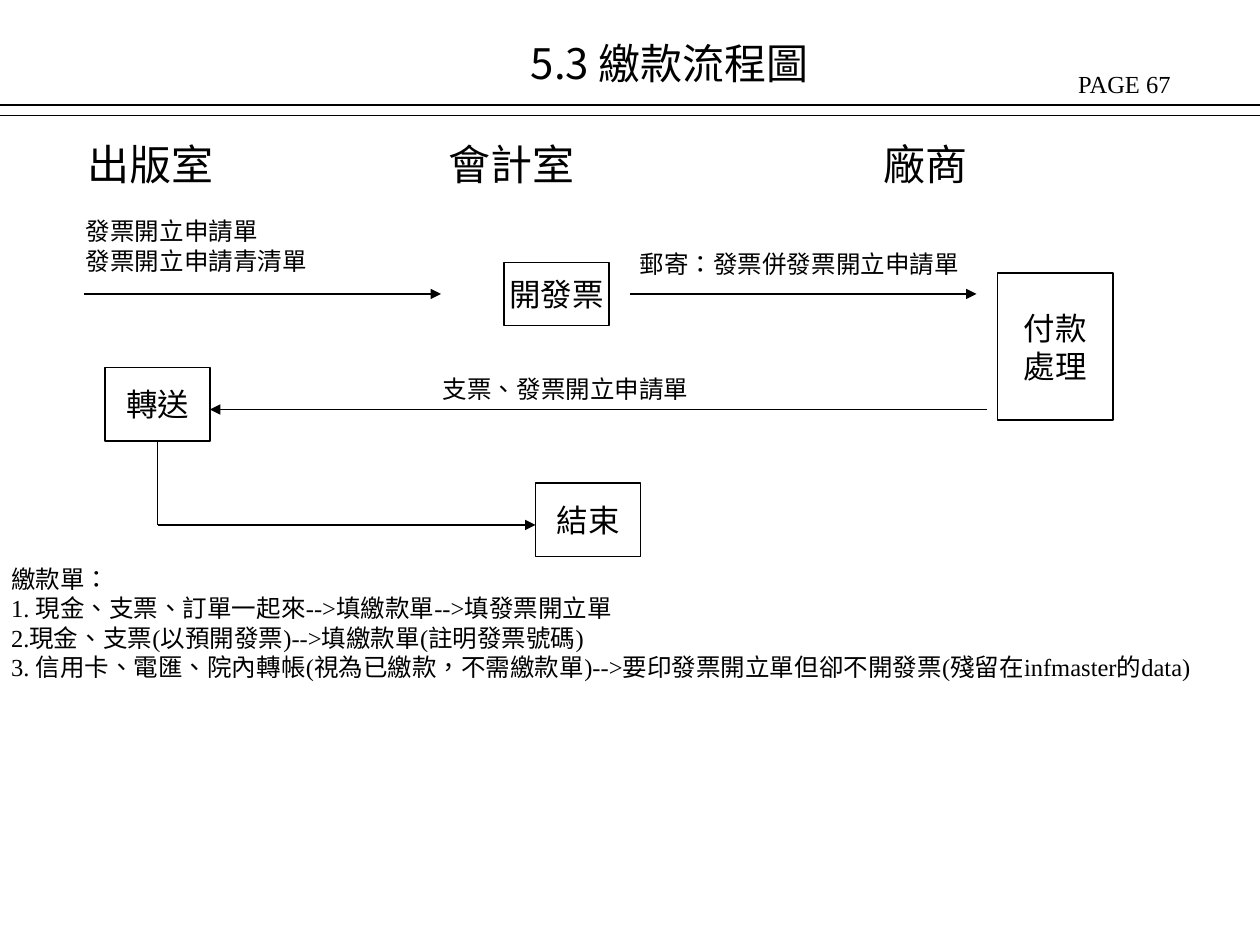
"""Build the payment process flowchart slide."""
from lxml.etree import SubElement
from pptx import Presentation
from pptx.dml.color import RGBColor
from pptx.enum.shapes import MSO_CONNECTOR as Connector, MSO_SHAPE as Shape
from pptx.enum.text import MSO_ANCHOR as Anchor, MSO_AUTO_SIZE as AutoSize, PP_ALIGN as Align
from pptx.oxml.ns import qn
from pptx.util import Pt

PX = 9525
BLACK, WHITE = "000000", "FFFFFF"
LATIN, CJK = "Times New Roman", "Noto Sans CJK TC"


def color(value):
    return RGBColor.from_string(value)


def write(shape, lines, size, align=Align.LEFT, font=LATIN):
    frame = shape.text_frame
    frame.word_wrap = False
    frame.text = "\n".join(lines)
    for paragraph in frame.paragraphs:
        paragraph.alignment = align
        for run in paragraph.runs:
            for name, value in {"size": Pt(size), "name": font}.items():
                setattr(run.font, name, value)
            run.font.color.rgb = color(BLACK)
            run.font._element.set("lang", "zh-TW")
            SubElement(run.font._element, qn("a:ea"), typeface=CJK)


presentation = Presentation()
presentation.slide_width, presentation.slide_height = 960 * PX, 720 * PX
slide = presentation.slides.add_slide(presentation.slide_layouts[6])

texts = {
    "page": (812, 48, 151, 33, 14, LATIN, ["PAGE 67"]),
    "title": (395, 24, 262, 48, 24, CJK, ["5.3 繳款流程圖"]),
    "departments": (57, 101, 750, 48, 24, LATIN, ["出版室\t會計室\t廠商"]),
    "request": (56, 160, 195, 55, 14, LATIN, ["發票開立申請單", "發票開立申請青清單"]),
    "mailing": (478, 185, 270, 33, 14, LATIN, ["郵寄：發票併發票開立申請單"]),
    "cheque": (328, 280, 214, 33, 14, LATIN, ["支票、發票開立申請單"]),
    "notes": (-1, 425, 972, 100, 14, LATIN, [
        "繳款單：",
        "1. 現金、支票、訂單一起來-->填繳款單-->填發票開立單",
        "2.現金、支票(以預開發票)-->填繳款單(註明發票號碼)",
        "3. 信用卡、電匯、院內轉帳(視為已繳款，不需繳款單)-->要印發票開立單但卻不開發票(殘留在infmaster的data)",
    ]),
}
boxes = {}
for name, (left, top, width, height, size, font, lines) in texts.items():
    boxes[name] = slide.shapes.add_textbox(left * PX, top * PX, width * PX, height * PX)
    write(boxes[name], lines, size, font=font)
    boxes[name].text_frame.auto_size = AutoSize.SHAPE_TO_FIT_TEXT

departments = boxes["departments"].text_frame.paragraphs[0]
tab_list = SubElement(departments._p.get_or_add_pPr(), qn("a:tabLst"))
for position in (275, 607):
    SubElement(tab_list, qn("a:tab"), pos=str(position * PX), algn="l")

steps = {
    "invoice": (384, 200, 80, 48, ["開發票"]),
    "payment": (760, 208, 88, 112, ["付款", "處理"]),
    "forward": (80, 280, 80, 56, ["轉送"]),
    "end": (408, 368, 80, 56, ["結束"]),
}
for name, (left, top, width, height, lines) in steps.items():
    box = slide.shapes.add_shape(Shape.RECTANGLE, left * PX, top * PX, width * PX, height * PX)
    box.shadow.inherit = False
    box.fill.solid()
    box.fill.fore_color.rgb = color(WHITE)
    box.line.color.rgb = color(BLACK)
    box.line.width = Pt(0.75)
    box.text_frame.vertical_anchor = Anchor.MIDDLE
    write(box, lines, 18, Align.CENTER)
    boxes[name] = box

lines = [
    (0, 80, 960, 80, False, None),
    (0, 88, 960, 88, False, None),
    (64, 224, 336, 224, True, None),
    (480, 224, 744, 224, True, None),
    (752, 312, 160, 312, True, None),
    (120, 336, 120, 400, False, "forward"),
    (120, 400, 408, 400, True, None),
]
for x1, y1, x2, y2, arrow, start in lines:
    line = slide.shapes.add_connector(Connector.STRAIGHT, x1 * PX, y1 * PX, x2 * PX, y2 * PX)
    line.line.color.rgb = color(BLACK)
    line.line.width = Pt(0.75)
    if arrow:
        SubElement(line.line._get_or_add_ln(), qn("a:tailEnd"), type="triangle")
    SubElement(line._element.spPr, qn("a:effectLst"))
    if start:
        line.begin_connect(boxes[start], 2)

presentation.save("out.pptx")
